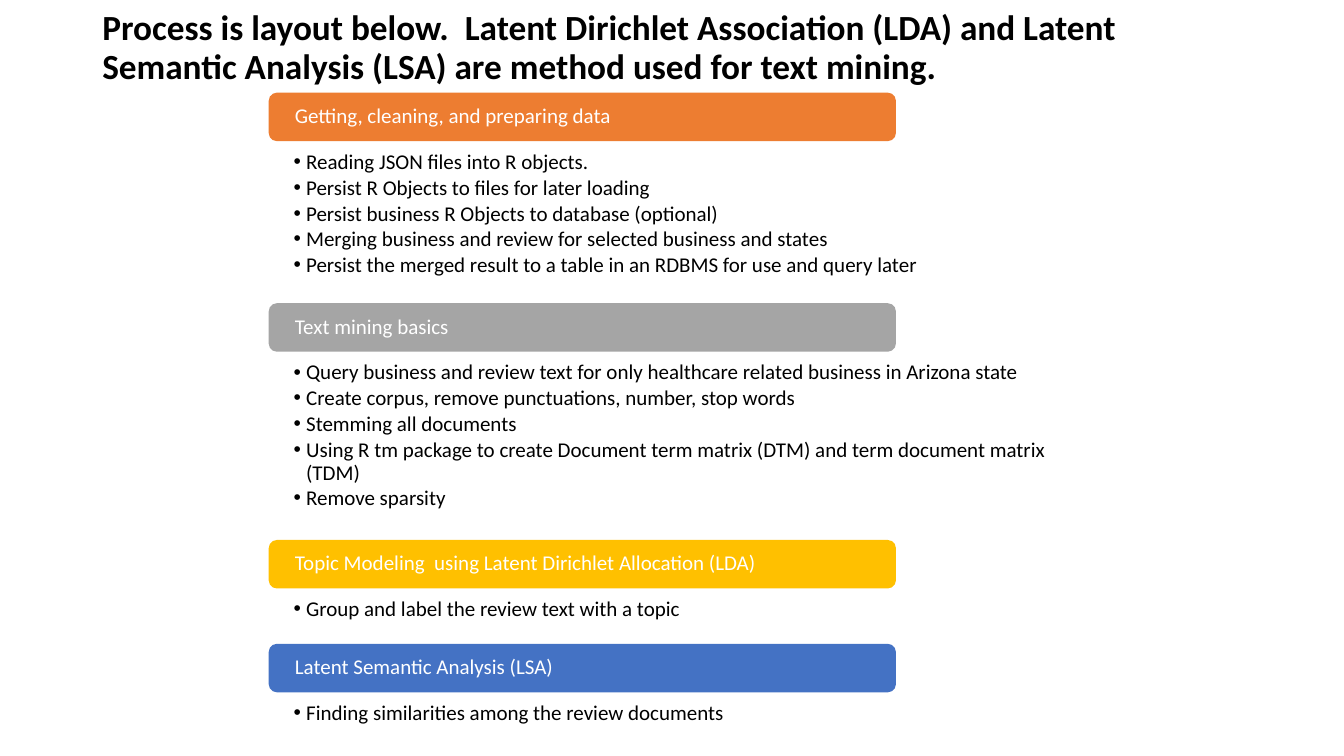
from pptx import Presentation
from pptx.util import Pt
from pptx.dml.color import RGBColor
from pptx.enum.shapes import MSO_SHAPE
from pptx.enum.text import MSO_ANCHOR, PP_ALIGN
from lxml.etree import SubElement
from pptx.oxml.ns import qn

BLACK = RGBColor(0x00, 0x00, 0x00)
WHITE = RGBColor(0xFF, 0xFF, 0xFF)
ORANGE = RGBColor(0xED, 0x7D, 0x31)
GRAY = RGBColor(0xA5, 0xA5, 0xA5)
GOLD = RGBColor(0xFF, 0xC0, 0x00)
BLUE = RGBColor(0x44, 0x72, 0xC4)


def write(shape, lines, size=15, color=BLACK, bold=False, anchor=MSO_ANCHOR.MIDDLE,
          insets=(7.2, 3.6, 7.2, 3.6), after=0, bullet=False):
    frame = shape.text_frame
    frame.word_wrap = True
    frame.vertical_anchor = anchor
    (frame.margin_left, frame.margin_top,
     frame.margin_right, frame.margin_bottom) = map(Pt, insets)
    for index, line in enumerate(lines):
        paragraph = frame.add_paragraph() if index else frame.paragraphs[0]
        paragraph.alignment = PP_ALIGN.LEFT
        paragraph.line_spacing = 0.9
        paragraph.space_after = Pt(after)
        run = paragraph.add_run()
        run.text = line
        run.font.name = "Calibri"
        run.font.size = Pt(size)
        run.font.bold = bold
        run.font.color.rgb = color
        if bullet:
            paragraph.level = 1
            properties = paragraph._p.get_or_add_pPr()
            properties.set("marL", str(Pt(9)))
            properties.set("indent", str(Pt(-9)))
            SubElement(properties, qn("a:buFont"), typeface="Arial")
            SubElement(properties, qn("a:buChar"), char="•")


def add_panel(kind, left, top, width, height, color):
    panel = slide.shapes.add_shape(kind, Pt(left), Pt(top), Pt(width), Pt(height))
    panel.shadow.inherit = False
    panel.fill.solid()
    panel.fill.fore_color.rgb = color
    panel.line.fill.background()
    return panel


deck = Presentation()
deck.slide_width = Pt(960)
deck.slide_height = Pt(540)
slide = deck.slides.add_slide(deck.slide_layouts[6])

stages = [
    ("Getting, cleaning, and preparing data", ORANGE, 126.6, [
        "Reading JSON files into R objects.",
        "Persist R Objects to files for later loading",
        "Persist business R Objects to database (optional)",
        "Merging business and review for selected business and states",
        "Persist the merged result to a table in an RDBMS for use and query later",
    ]),
    ("Text mining basics", GRAY, 145.3, [
        "Query business and review text for only healthcare related business in Arizona state",
        "Create corpus, remove punctuations, number, stop words",
        "Stemming all documents",
        "Using R tm package to create Document term matrix (DTM) and term document matrix (TDM)",
        "Remove sparsity",
    ]),
    ("Topic Modeling  using Latent Dirichlet Allocation (LDA)", GOLD, 50.4, [
        "Group and label the review text with a topic",
    ]),
    ("Latent Semantic Analysis (LSA)", BLUE, 50.4, [
        "Finding similarities among the review documents",
    ]),
]

STAGE_GAP = 23.8
BANNER_RISE = 17.4
stage_top = 83.6
for heading, color, stage_height, steps in stages:
    details = add_panel(MSO_SHAPE.RECTANGLE, 160, stage_top, 640, stage_height, WHITE)
    write(details, steps, anchor=MSO_ANCHOR.TOP, insets=(49.7, 24.5, 49.7, 8.6),
          after=2.2, bullet=True)
    banner = add_panel(MSO_SHAPE.ROUNDED_RECTANGLE, 192, stage_top - BANNER_RISE,
                       448, 34.6, color)
    write(banner, [heading], color=WHITE, insets=(17, 0, 17, 0))
    stage_top += stage_height + STAGE_GAP

title = slide.shapes.add_textbox(Pt(66), Pt(4.5), Pt(828), Pt(60.5))
write(title, ["Process is layout below.  Latent Dirichlet Association (LDA) and Latent "
              "Semantic Analysis (LSA) are method used for text mining."],
      size=25.2, bold=True)

deck.save("out.pptx")
